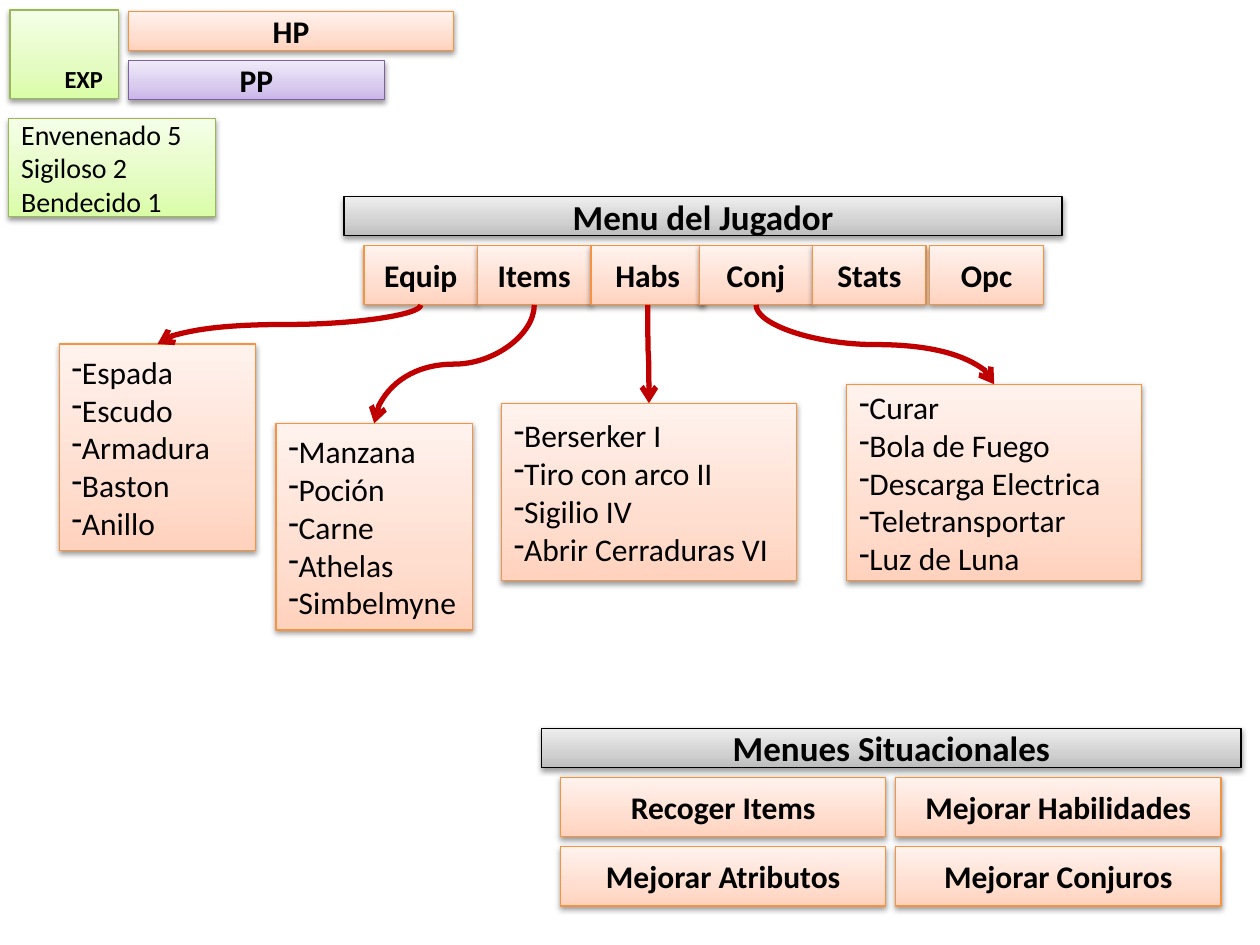
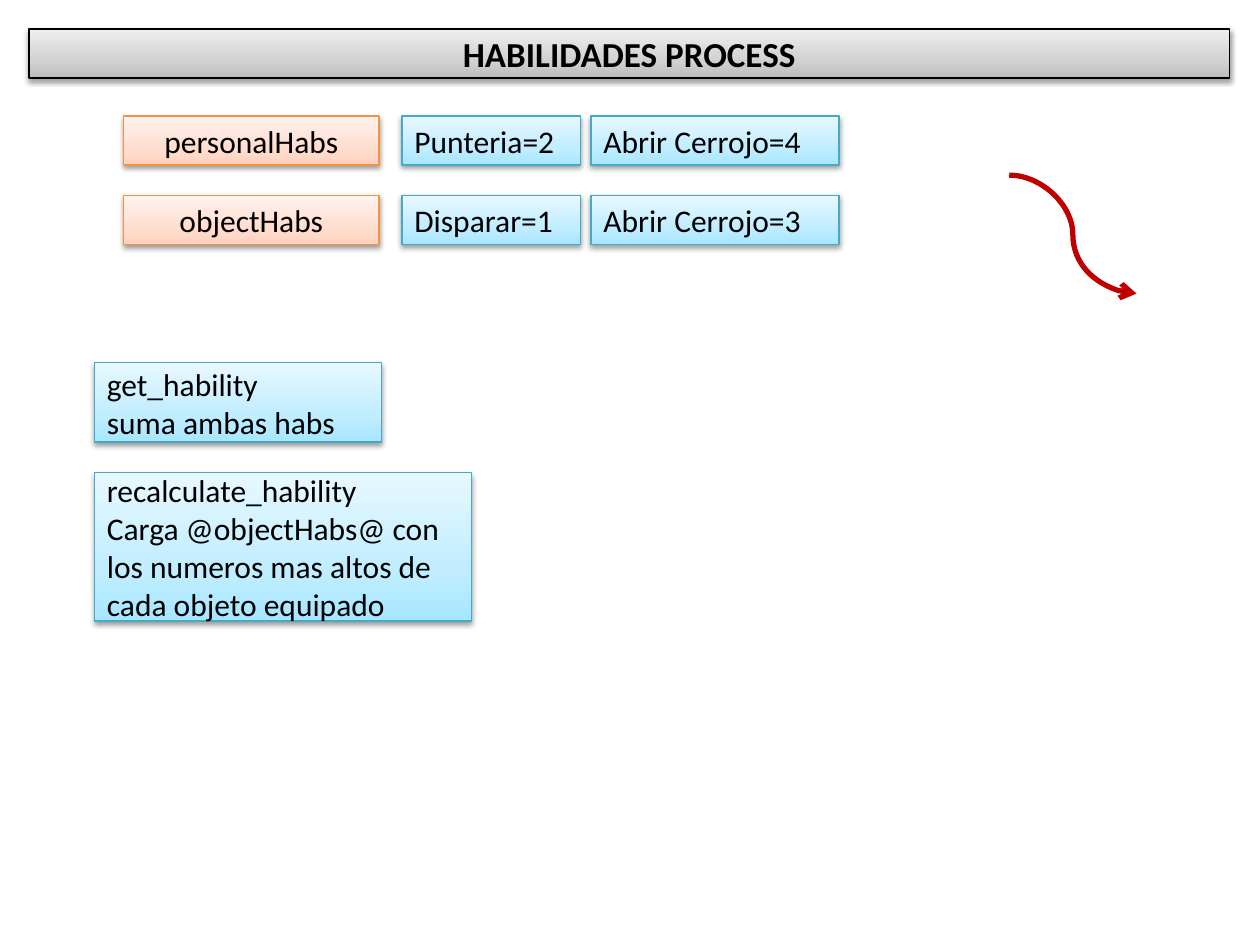
from copy import deepcopy
from lxml import etree
from pptx import Presentation
from pptx.dml.color import RGBColor
from pptx.enum.shapes import MSO_CONNECTOR as Link, MSO_SHAPE as Shape
from pptx.enum.text import MSO_ANCHOR as Anchor, PP_ALIGN as Align
from pptx.oxml import parse_xml
from pptx.oxml.ns import nsdecls, qn
from pptx.util import Inches, Pt

FONT = "Calibri"
INK = "000000"
RED = "C00000"
# line colour, then gradient from bottom to top
COLORS = {
    "orange": ("F69240", "FFD2BD", "FFDED0", "FFF2ED"),
    "purple": ("7D60A0", "C9B5E8", "D8CBEE", "F0EAF9"),
    "green": ("98B955", "DAFDA7", "E4FCC2", "F5FFE7"),
    "gray": ("000000", "BDBDBD", "D1D1D1", "EEEEEE"),
    "blue": ("46AAC5", "A7E6FF", "C1EDFF", "E7F8FF"),
}
STOPS = (0, 35, 100)
SHADOW = (
    f'<a:outerShdw {nsdecls("a")} blurRad="40000" dist="20000" dir="5400000" '
    'rotWithShape="0"><a:srgbClr val="000000"><a:alpha val="38000"/>'
    '</a:srgbClr></a:outerShdw>')


def rgb(text):
    """Turn a hex string into a colour."""
    return RGBColor.from_string(text)


def paint(shape, tone):
    """Give a shape its gradient, thin line and soft shadow."""
    edge, *tints = COLORS[tone]
    fill = shape.fill
    fill.gradient()
    fill.gradient_angle = 90
    first = fill.gradient_stops[0]
    first.color.rgb = rgb(tints[0])
    stops = shape.element.spPr.find(".//" + qn("a:gsLst"))
    stops.append(deepcopy(stops[0]))
    for stop, tint, place in zip(fill.gradient_stops, tints, STOPS):
        stop.color.rgb = rgb(tint)
        stop.position = place / 100
    shape.line.color.rgb = rgb(edge)
    shape.line.width = Pt(0.75)
    shape.shadow.inherit = False
    shape.element.spPr.find(qn("a:effectLst")).append(parse_xml(SHADOW))


def write(shape, lines, size, bold, align, dash=False):
    """Fill a shape with one paragraph for each line."""
    frame = shape.text_frame
    frame.word_wrap = True
    frame.vertical_anchor = Anchor.MIDDLE
    frame.text = "\n".join(lines)
    for para in frame.paragraphs:
        para.alignment = align
        font = para.font
        font.name, font.size, font.bold = FONT, Pt(size), bold
        font.color.rgb = rgb(INK)
        if dash:
            props = para._p.get_or_add_pPr()
            mark = etree.Element(qn("a:buChar"), char="-")
            props.find(qn("a:defRPr")).addprevious(mark)


def card(slide, box, tone, lines=(), size=18, bold=False,
         align=Align.LEFT, dash=False):
    """Draw a shaded rectangle with text."""
    shape = slide.shapes.add_shape(Shape.RECTANGLE, *map(Inches, box))
    paint(shape, tone)
    if lines:
        write(shape, lines, size, bold, align, dash)
    return shape


def key(slide, box, text, tone="orange", bold=True):
    """Draw a button with centred text."""
    return card(slide, box, tone, [text], 18, bold, Align.CENTER)


def band(slide, box, text):
    """Draw a gray title band."""
    card(slide, box, "gray", [text], 20, True, Align.CENTER)


def curve(slide, ends):
    """Draw a red curved arrow between two points in inches."""
    line = slide.shapes.add_connector(Link.CURVE, *map(Inches, ends))
    line.line.color.rgb = rgb(RED)
    line.line.width = Pt(3)
    props = line.element.spPr
    etree.SubElement(props.find(qn("a:ln")), qn("a:tailEnd"), type="arrow")
    etree.SubElement(props, qn("a:effectLst"))
    return line


def drop(slide, top, low):
    """Join the foot of one card to the head of a lower one."""
    line = curve(slide, (0, 0, 1, 1))
    line.begin_connect(top, 2)
    line.end_connect(low, 0)
    x1, y1 = top.left + top.width // 2, top.top + top.height
    x2, y2 = low.left + low.width // 2, low.top
    # The curve leaves sideways, so its frame is turned a quarter
    wide, high = y2 - y1, abs(x2 - x1)
    line.left, line.top = (x1 + x2 - wide) // 2, (y1 + y2 - high) // 2
    line.width, line.height = wide, high
    left = x2 < x1
    frame = line.element.spPr.find(qn("a:xfrm"))
    frame.set("rot", str((90 if left else 270) * 60000))
    frame.set("flipH", "0" if left else "1")
    frame.set("flipV", "0")


def status(slide, x, y):
    """Draw the player's gauges and states."""
    key(slide, (x + 0.95, y + 0.01, 2.58, 0.31), "HP")
    key(slide, (x + 0.95, y + 0.4, 2.03, 0.31), "PP", "purple")
    card(slide, (x, y + 0.86, 1.64, 0.78), "green",
         ["Envenenado 5", "Sigiloso 2", "Bendecido 1"], 16)
    card(slide, (x + 0.01, y, 0.86, 0.7), "green")
    label = slide.shapes.add_textbox(
        *map(Inches, (x + 0.32, y + 0.39, 0.55, 0.31)))
    write(label, ["EXP"], 14, True, Align.CENTER)


def player(slide, x, y):
    """Draw the player menu: band, tabs, lists and arrows."""
    band(slide, (x, y, 5.7, 0.31), "Menu del Jugador")
    tabs = [key(slide, (x + dx, y + 0.39, 0.9, 0.47), name)
            for dx, name in ((0.16, "Equip"), (1.06, "Items"), (1.96, "Habs"),
                             (2.82, "Conj"), (3.72, "Stats"), (4.65, "Opc"))]
    lists = (
        ((-2.26, 1.17, 1.56, 1.64),
         ["Espada", "Escudo", "Armadura", "Baston", "Anillo"]),
        ((-0.54, 1.8, 1.56, 1.64),
         ["Manzana", "Poción", "Carne", "Athelas", "Simbelmyne"]),
        ((1.25, 1.64, 2.34, 1.41),
         ["Berserker I", "Tiro con arco II", "Sigilio IV",
          "Abrir Cerraduras VI"]),
        ((3.99, 1.49, 2.34, 1.56),
         ["Curar", "Bola de Fuego", "Descarga Electrica", "Teletransportar",
          "Luz de Luna"]),
    )
    cards = [card(slide, (x + dx, y + dy, w, h), "orange", lines, dash=True)
             for (dx, dy, w, h), lines in lists]
    for tab, low in zip(tabs, cards):
        drop(slide, tab, low)


def context(slide, x, y):
    """Draw the situational menus as a two by two grid."""
    band(slide, (x, y, 5.55, 0.31), "Menues Situacionales")
    names = ("Recoger Items", "Mejorar Habilidades",
             "Mejorar Atributos", "Mejorar Conjuros")
    for i, name in enumerate(names):
        row, col = divmod(i, 2)
        key(slide, (x + 0.15 + col * 2.66, y + 0.39 + row * 0.55, 2.58, 0.47),
            name)


def skills(slide, x, y):
    """Draw one row of values for each skill table."""
    rows = (("personalHabs", "Punteria=2", "Abrir Cerrojo=4"),
            ("objectHabs", "Disparar=1", "Abrir Cerrojo=3"))
    for i, (name, one, two) in enumerate(rows):
        top = y + i * 0.63
        key(slide, (x, top, 2.03, 0.39), name, bold=False)
        card(slide, (x + 2.21, top, 1.42, 0.39), "blue", [one])
        card(slide, (x + 3.71, top, 1.97, 0.39), "blue", [two])


def methods(slide, x, y):
    """Draw the notes on the two functions."""
    card(slide, (x, y, 2.28, 0.63), "blue",
         ["get_hability", "suma ambas habs"])
    card(slide, (x, y + 0.87, 2.99, 1.18), "blue",
         ["recalculate_hability",
          "Carga @objectHabs@ con los numeros mas altos de cada objeto "
          "equipado"])


def main():
    """Build both slides and save them."""
    deck = Presentation()
    deck.slide_width, deck.slide_height = Inches(10), Inches(7.5)
    blank = deck.slide_layouts[6]

    menus = deck.slides.add_slide(blank)
    player(menus, 2.73, 1.56)
    context(menus, 4.3, 5.78)
    status(menus, 0.07, 0.08)

    process = deck.slides.add_slide(blank)
    band(process, (0.23, 0.23, 9.53, 0.39), "HABILIDADES PROCESS")
    skills(process, 0.98, 0.92)
    methods(process, 0.75, 2.88)
    curve(process, (8.01, 1.39, 9.02, 2.33))

    deck.save("out.pptx")


main()
